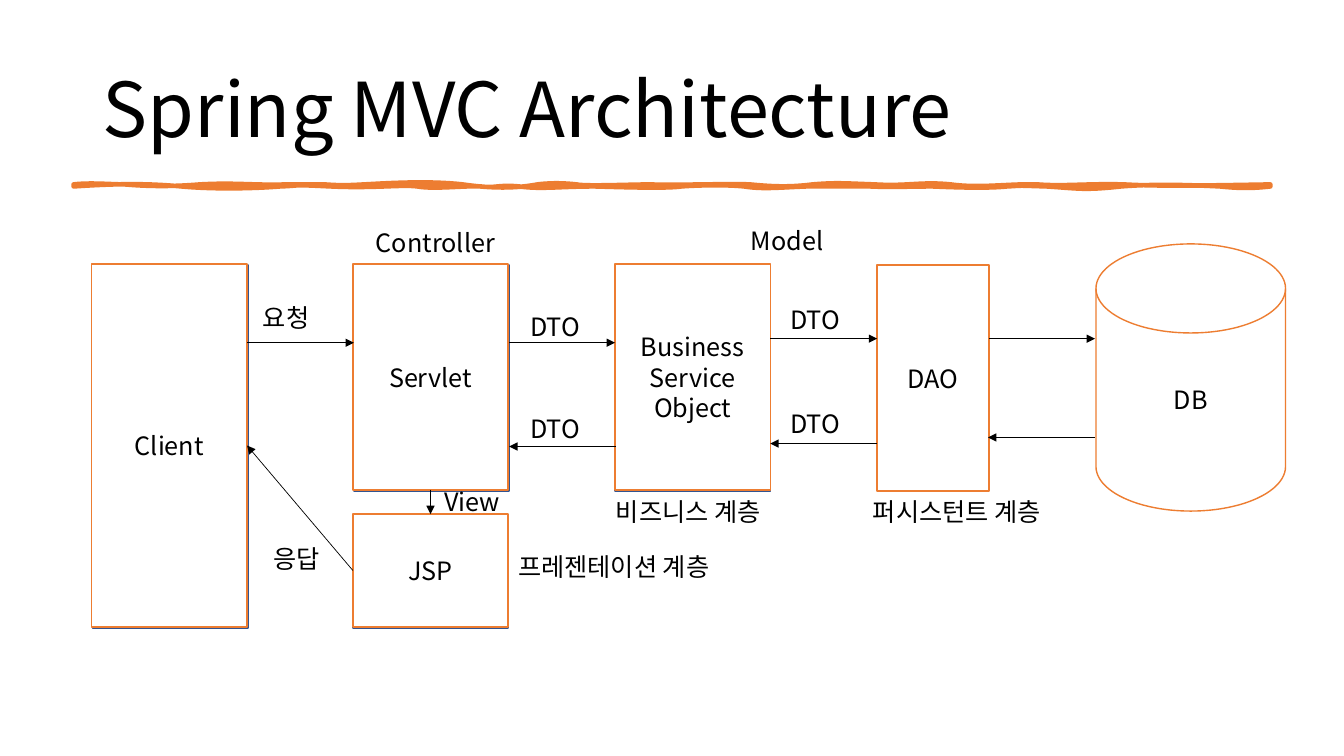
from dataclasses import dataclass

import pptx
import pptx.dml.color
import pptx.enum.shapes
import pptx.enum.text
import pptx.oxml.ns
import pptx.shapes.autoshape
import pptx.slide
import pptx.text.text
import pptx.util

Inches = pptx.util.Inches
Pt = pptx.util.Pt
qn = pptx.oxml.ns.qn
SHAPES = pptx.enum.shapes.MSO_SHAPE
ALIGN = pptx.enum.text.PP_ALIGN
AUTO_SIZE = pptx.enum.text.MSO_AUTO_SIZE

BLACK = pptx.dml.color.RGBColor(0x00, 0x00, 0x00)
WHITE = pptx.dml.color.RGBColor(0xFF, 0xFF, 0xFF)
ORANGE = pptx.dml.color.RGBColor(0xED, 0x7D, 0x31)
BLUE = pptx.dml.color.RGBColor(0x32, 0x54, 0x91)
FONT = "Noto Sans CJK KR"

TITLE_FORMAT = {"name": FONT, "size": Pt(54), "bold": False}
TEXT_FORMAT = {"name": FONT, "size": Pt(18), "bold": False}
CENTRED_FRAME = {"word_wrap": True, "vertical_anchor": pptx.enum.text.MSO_ANCHOR.MIDDLE}
TITLE_FRAME = CENTRED_FRAME | {"auto_size": AUTO_SIZE.NONE}
LABEL_FRAME = {"word_wrap": True, "auto_size": AUTO_SIZE.SHAPE_TO_FIT_TEXT}


@dataclass
class Plate:
    left: float
    top: float
    width: float
    height: float
    fill: pptx.dml.color.RGBColor = ORANGE
    line: pptx.dml.color.RGBColor = BLUE
    kind: int = SHAPES.RECTANGLE


@dataclass
class Component:
    name: str
    plate: Plate
    lines: tuple[str, ...]


@dataclass
class Label:
    text: str
    left: float
    top: float
    width: float = 0.75


@dataclass
class Arrow:
    start: tuple[float, float]
    end: tuple[float, float]
    source: tuple[str, int] | None = None
    target: tuple[str, int] | None = None


BACK_PLATES = [
    Plate(0.92, 2.63, 1.54, 3.6, WHITE),
    Plate(3.51, 2.63, 1.54, 2.24),
    Plate(3.5, 5.11, 1.54, 1.12),
    Plate(6.1, 2.63, 1.54, 2.24),
]

COMPONENTS = [
    Component("client", Plate(0.91, 2.62, 1.54, 3.6, WHITE, ORANGE), ("Client",)),
    Component("servlet", Plate(3.5, 2.62, 1.54, 2.24, WHITE, ORANGE), ("Servlet",)),
    Component("jsp", Plate(3.5, 5.1, 1.54, 1.12, WHITE, ORANGE), ("JSP",)),
    Component("business", Plate(6.1, 2.62, 1.54, 2.24, WHITE, ORANGE), ("Business", "Service", "Object")),
    Component("dao", Plate(8.7, 2.63, 1.11, 2.24, WHITE, ORANGE), ("DAO",)),
    Component("db", Plate(10.87, 2.42, 1.88, 2.65, WHITE, ORANGE, SHAPES.FLOWCHART_MAGNETIC_DISK), ("DB",)),
]

ARROWS = [
    Arrow((2.45, 3.4), (3.51, 3.4)),
    Arrow((5.05, 3.4), (6.1, 3.4)),
    Arrow((7.64, 3.36), (8.7, 3.36)),
    Arrow((9.81, 3.36), (10.86, 3.36)),
    Arrow((10.86, 4.34), (9.8, 4.34)),
    Arrow((8.7, 4.4), (7.64, 4.4)),
    Arrow((6.11, 4.43), (5.05, 4.43)),
    Arrow((4.27, 4.86), (4.27, 5.1), ("servlet", 2), ("jsp", 0)),
    Arrow((3.5, 5.66), (2.45, 4.42), ("jsp", 1), ("client", 3)),
]

LABELS = [
    Label("Controller", 3.63, 2.21, 1.42), Label("Model", 7.35, 2.19, 0.94),
    Label("요청", 2.51, 2.95), Label("응답", 2.61, 5.34),
    Label("DTO", 5.16, 3.04), Label("DTO", 7.74, 2.97),
    Label("DTO", 5.16, 4.05), Label("DTO", 7.74, 4),
    Label("View", 4.31, 4.78), Label("프레젠테이션 계층", 5.04, 5.42, 2.38),
    Label("비즈니스 계층", 6.01, 4.87, 1.88), Label("퍼시스턴트 계층", 8.56, 4.87, 2.1),
]

UPPER_Y, LOWER_Y = 1.83, 1.85
BRUSH_START = (0.73, UPPER_Y)
UPPER_CURVES = [
    (0.89, 1.81, 1.11, 1.83, 1.24), (1.36, 1.84, 1.62, 1.86, 1.98), (2.34, 1.81, 2.51, 1.84, 2.84),
    (3.17, 1.83, 3.07, 1.83, 3.22), (3.38, 1.84, 3.42, 1.84, 3.61), (3.8, 1.82, 4.24, 1.79, 4.59),
    (4.94, 1.88, 5.17, 1.86, 5.33), (5.49, 1.81, 5.63, 1.82, 5.72), (5.81, 1.85, 6.25, 1.83, 6.46),
    (6.67, 1.84, 7.23, 1.82, 7.44), (7.65, 1.85, 7.82, 1.86, 8.06), (8.3, 1.81, 8.38, 1.82, 8.68),
    (8.99, 1.85, 9.14, 1.8, 9.43), (9.72, 1.87, 10.02, 1.82, 10.29), (10.55, 1.85, 10.78, 1.82, 11.15),
    (11.51, 1.85, 11.99, 1.84, 12.6),
]
LOWER_CURVES = [
    (12.6, 1.84, 12.6, 1.84, 12.6), (12.42, 1.87, 12.3, 1.87, 12.1), (11.9, 1.84, 11.49, 1.82, 11.12),
    (10.75, 1.89, 10.7, 1.87, 10.38), (10.05, 1.84, 10.18, 1.84, 9.99), (9.8, 1.87, 9.48, 1.86, 9.25),
    (9.02, 1.85, 8.84, 1.86, 8.63), (8.41, 1.85, 8.28, 1.85, 8), (7.73, 1.86, 7.57, 1.88, 7.38),
    (7.19, 1.83, 6.88, 1.84, 6.76), (6.63, 1.87, 6.24, 1.86, 5.9), (5.55, 1.85, 5.37, 1.88, 5.15),
    (4.94, 1.83, 4.91, 1.87, 4.77), (4.63, 1.84, 4.3, 1.88, 4.14), (3.99, 1.83, 3.71, 1.87, 3.28),
    (2.86, 1.83, 3.03, 1.84, 2.78), (2.53, 1.87, 2.13, 1.88, 1.8), (1.47, 1.82, 1.18, 1.82, 0.73),
]


def apply_format(target: object, values: dict[str, object]) -> None:
    for name, value in values.items():
        setattr(target, name, value)


def write_lines(frame: pptx.text.text.TextFrame, lines: tuple[str, ...],
                font_format: dict[str, object], para_format: dict[str, object]) -> None:
    for index, line in enumerate(lines):
        para = frame.add_paragraph() if index else frame.paragraphs[0]
        apply_format(para, para_format)
        span = para.add_run()
        span.text = line
        apply_format(span.font, font_format)
        span.font.color.rgb = BLACK
        properties = span.font._element
        properties.append(properties.makeelement(qn("a:ea"), {"typeface": FONT}))


def paint(shape: pptx.shapes.autoshape.Shape, fill: pptx.dml.color.RGBColor,
          line: pptx.dml.color.RGBColor, width: float) -> None:
    shape.shadow.inherit = False
    shape.fill.solid()
    shape.fill.fore_color.rgb = fill
    apply_format(shape.line.color, {"rgb": line})
    shape.line.width = Pt(width)


def add_title(page: pptx.slide.Slide) -> None:
    title = page.shapes.title
    apply_format(title, {"left": Inches(0.92), "top": Inches(0.4),
                         "width": Inches(11.5), "height": Inches(1.45)})
    apply_format(title.text_frame, TITLE_FRAME)
    write_lines(title.text_frame, ("Spring MVC Architecture",), TITLE_FORMAT,
                {"alignment": ALIGN.LEFT, "line_spacing": 0.9})


def add_brush_line(page: pptx.slide.Slide) -> None:
    points = [(Inches(x), Inches(y))
              for curves, end_y in ((UPPER_CURVES, UPPER_Y), (LOWER_CURVES, LOWER_Y))
              for x1, y1, x2, y2, end_x in curves
              for x, y in ((x1, y1), (x2, y2), (end_x, end_y))]
    builder = page.shapes.build_freeform(*map(Inches, BRUSH_START))
    builder.add_line_segments(points, close=True)
    brush = builder.convert_to_shape()
    segments = list(brush._element.iter(qn("a:lnTo")))
    for first, second, third in zip(segments[::3], segments[1::3], segments[2::3]):
        curve = first.makeelement(qn("a:cubicBezTo"))
        first.addprevious(curve)
        for segment in (first, second, third):
            curve.append(segment[0])
            segment.getparent().remove(segment)
    paint(brush, ORANGE, ORANGE, 3.25)


def add_plate(page: pptx.slide.Slide, plate: Plate) -> pptx.shapes.autoshape.Shape:
    box = page.shapes.add_shape(plate.kind, *map(Inches, (plate.left, plate.top, plate.width, plate.height)))
    paint(box, plate.fill, plate.line, 1)
    return box


def add_component(page: pptx.slide.Slide, item: Component) -> pptx.shapes.autoshape.Shape:
    box = add_plate(page, item.plate)
    apply_format(box.text_frame, CENTRED_FRAME)
    write_lines(box.text_frame, item.lines, TEXT_FORMAT, {"alignment": ALIGN.CENTER})
    return box


def add_arrow(page: pptx.slide.Slide, arrow: Arrow, boxes: dict[str, pptx.shapes.autoshape.Shape]) -> None:
    connector = page.shapes.add_connector(
        pptx.enum.shapes.MSO_CONNECTOR.STRAIGHT, *map(Inches, arrow.start + arrow.end))
    for join, end in ((connector.begin_connect, arrow.source), (connector.end_connect, arrow.target)):
        if end:
            join(boxes[end[0]], end[1])
    connector.line.color.rgb = BLACK
    connector.line.width = Pt(0.5)
    properties = connector._element.spPr
    head = properties.makeelement(qn("a:tailEnd"), {"type": "triangle"})
    connector.line._get_or_add_ln().append(head)
    properties.append(properties.makeelement(qn("a:effectLst")))


def add_label(page: pptx.slide.Slide, label: Label) -> None:
    box = page.shapes.add_textbox(*map(Inches, (label.left, label.top, label.width, 0.4)))
    apply_format(box.text_frame, LABEL_FRAME)
    write_lines(box.text_frame, (label.text,), TEXT_FORMAT, {"alignment": ALIGN.LEFT})


deck = pptx.Presentation()
apply_format(deck, {"slide_width": Inches(13.33), "slide_height": Inches(7.5)})
page = deck.slides.add_slide(deck.slide_layouts[5])
add_title(page)
add_brush_line(page)
for plate in BACK_PLATES:
    add_plate(page, plate)
boxes = {item.name: add_component(page, item) for item in COMPONENTS}
for arrow in ARROWS:
    add_arrow(page, arrow, boxes)
for label in LABELS:
    add_label(page, label)
deck.save("out.pptx")
